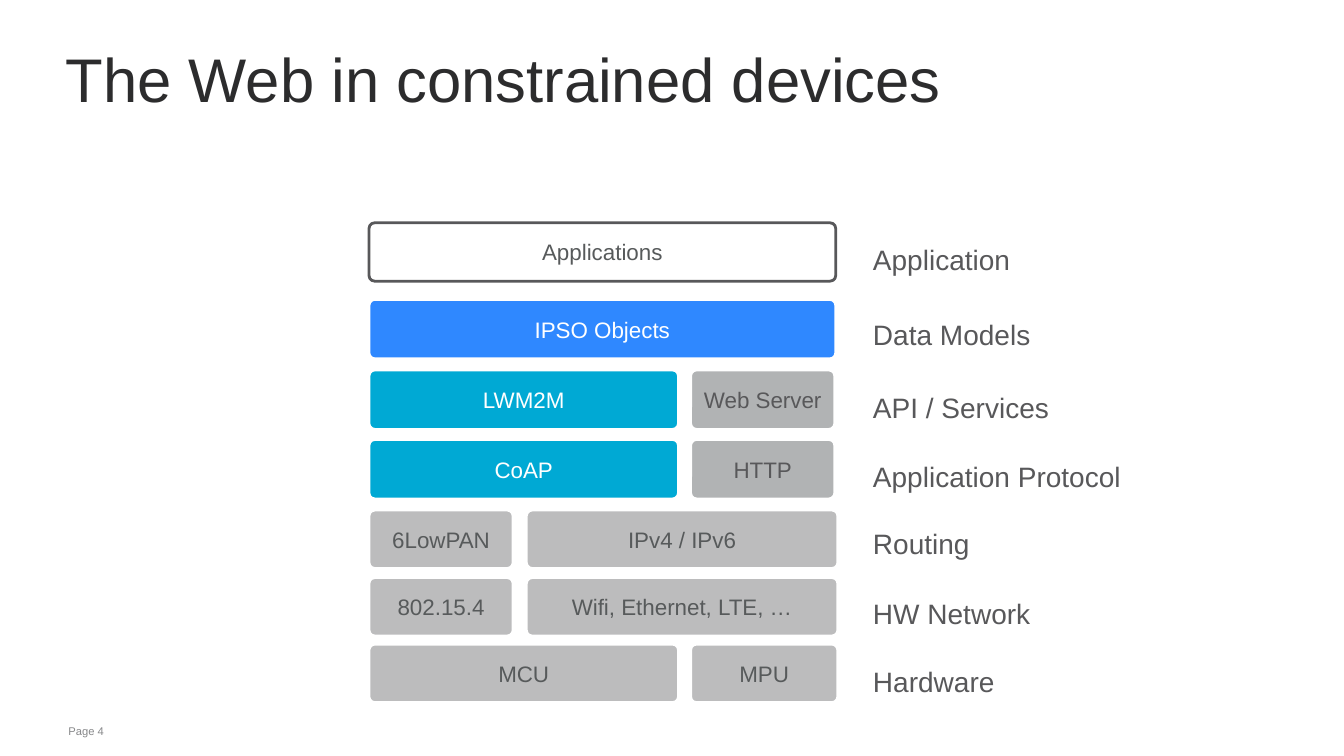
from pptx import Presentation
from pptx.dml.color import RGBColor
from pptx.enum.shapes import MSO_SHAPE
from pptx.enum.text import MSO_ANCHOR, PP_ALIGN
from pptx.util import Inches, Pt

ROUNDED = MSO_SHAPE.ROUNDED_RECTANGLE
MIDDLE = MSO_ANCHOR.MIDDLE
CENTER = PP_ALIGN.CENTER
LEFT = PP_ALIGN.LEFT

FONT = "Arial"
TITLE_ONLY = 5
LABEL_LEFT = 8.56
COLORS = {
    "white": "FFFFFF",
    "title": "2C2C2D",
    "text": "58585A",
    "block_text": "575A5B",
    "footer": "87888A",
    "blue": "2F88FF",
    "cyan": "00A9D4",
    "gray": "B1B3B4",
    "light_gray": "BCBCBD",
}

SPANS = {
    "full": (3.66, 4.63),
    "left_wide": (3.66, 3.07),
    "left_narrow": (3.66, 1.43),
    "right_narrow": (6.85, 1.43),
    "right_edge": (6.85, 1.46),
    "right_wide": (5.22, 3.09),
}

STYLES = {
    "application": ("white", "text", "block_text"),
    "model": ("blue", "white", "white"),
    "service": ("cyan", "white", "white"),
    "web": ("gray", "white", "text"),
    "base": ("light_gray", "white", "block_text"),
}

LAYERS = [
    (2.21, 0.58, "Application", 2.36, [("Applications", "full", "application")]),
    (2.97, 0.59, "Data Models", 3.1, [("IPSO Objects", "full", "model")]),
    (3.67, 0.59, "API / Services", 3.82,
     [("LWM2M", "left_wide", "service"), ("Web Server", "right_narrow", "web")]),
    (4.36, 0.59, "Application Protocol", 4.51,
     [("CoAP", "left_wide", "service"), ("HTTP", "right_narrow", "web")]),
    (5.06, 0.58, "Routing", 5.17,
     [("6LowPAN", "left_narrow", "base"), ("IPv4 / IPv6", "right_wide", "base")]),
    (5.73, 0.58, "HW Network", 5.87,
     [("802.15.4", "left_narrow", "base"),
      ("Wifi, Ethernet, LTE, …", "right_wide", "base")]),
    (6.39, 0.58, "Hardware", 6.54,
     [("MCU", "left_wide", "base"), ("MPU", "right_edge", "base")]),
]


def color(name):
    return RGBColor.from_string(COLORS[name])


def write_text(shape, text, size, color_name, alignment=LEFT):
    shape.text_frame.text = text
    paragraph = shape.text_frame.paragraphs[0]
    paragraph.alignment = alignment
    font = paragraph.runs[0].font
    font.name = FONT
    font.size = Pt(size)
    font.color.rgb = color(color_name)
    return paragraph


def set_title(slide, text):
    title = slide.shapes.title
    title.left, title.top = Inches(0.57), Inches(0.26)
    title.width, title.height = Inches(11.19), Inches(1.19)
    frame = title.text_frame
    frame.margin_left = frame.margin_right = Inches(0.08)
    frame.margin_top = frame.margin_bottom = 0
    frame.vertical_anchor = MIDDLE
    paragraph = write_text(title, text, 44, "title")
    paragraph.line_spacing = 0.75


def add_block(slide, text, span, style, top, height):
    left, width = SPANS[span]
    fill, line, text_color = STYLES[style]
    block = slide.shapes.add_shape(
        ROUNDED, Inches(left), Inches(top), Inches(width), Inches(height))
    block.adjustments[0] = 0.1
    block.shadow.inherit = False
    block.fill.solid()
    block.fill.fore_color.rgb = color(fill)
    block.line.color.rgb = color(line)
    block.line.width = Pt(2)
    block.text_frame.vertical_anchor = MIDDLE
    write_text(block, text, 16, text_color, CENTER)


def add_label(slide, text, left, top, width, height, size, color_name):
    label = slide.shapes.add_textbox(
        Inches(left), Inches(top), Inches(width), Inches(height))
    label.text_frame.word_wrap = True
    write_text(label, text, size, color_name)


def main():
    presentation = Presentation()
    presentation.slide_width = Inches(13.33)
    presentation.slide_height = Inches(7.5)
    slide = presentation.slides.add_slide(presentation.slide_layouts[TITLE_ONLY])
    set_title(slide, "The Web in constrained devices")
    for top, height, label, label_top, blocks in LAYERS:
        for text, span, style in blocks:
            add_block(slide, text, span, style, top, height)
        add_label(slide, label, LABEL_LEFT, label_top, 2.7, 0.44, 20, "text")
    add_label(slide, "Page 4", 0.58, 7.14, 10.79, 0.24, 8, "footer")
    presentation.save("out.pptx")


if __name__ == "__main__":
    main()
